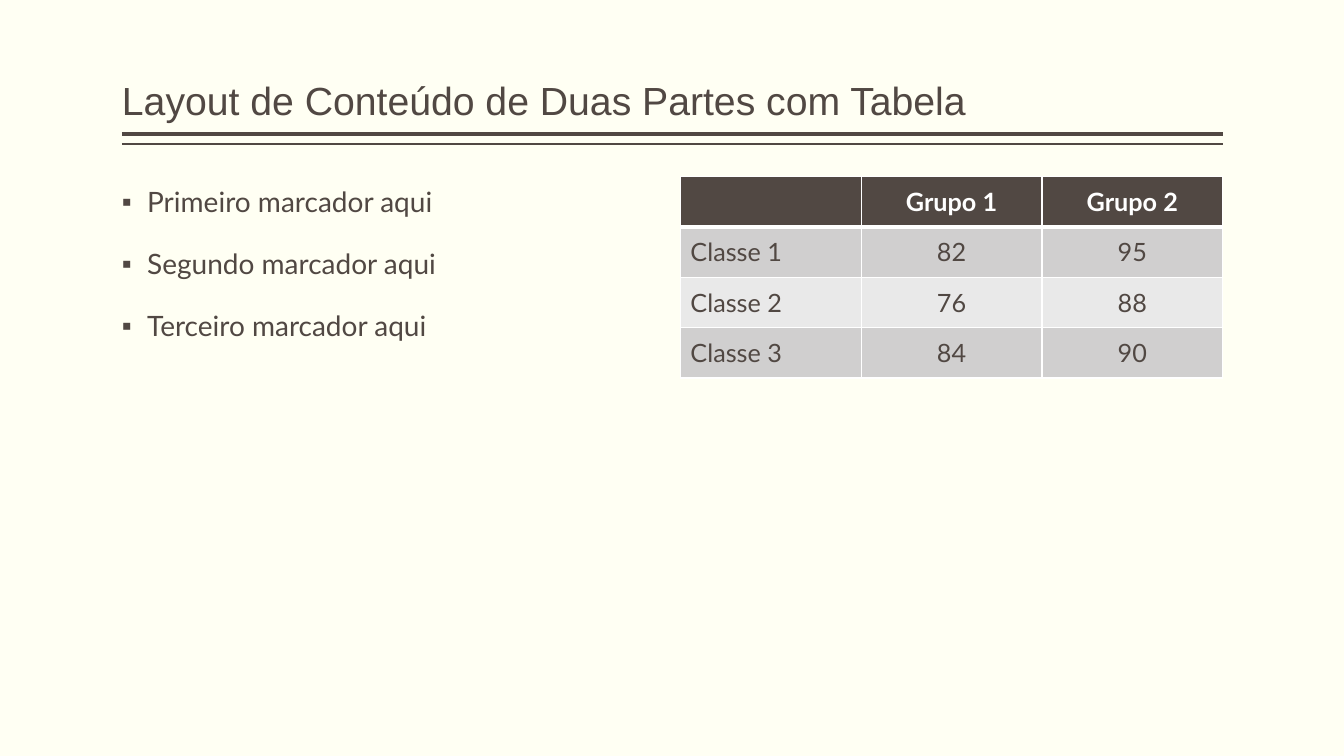
"""Build a two-part slide with a bulleted list beside a table of class results."""
import lxml.etree
import pptx
import pptx.dml.color
import pptx.enum.shapes
import pptx.enum.text
import pptx.oxml.ns
import pptx.util

Pt = pptx.util.Pt
RGBColor = pptx.dml.color.RGBColor
Align = pptx.enum.text.PP_ALIGN
Anchor = pptx.enum.text.MSO_ANCHOR
qn = pptx.oxml.ns.qn

TITLE = "Layout de Conteúdo de Duas Partes com Tabela"
BULLETS = ["Primeiro marcador aqui", "Segundo marcador aqui", "Terceiro marcador aqui"]
ROWS = [
    ("", "Grupo 1", "Grupo 2"),
    ("Classe 1", "82", "95"),
    ("Classe 2", "76", "88"),
    ("Classe 3", "84", "90"),
]

IVORY = RGBColor(0xFF, 0xFF, 0xF3)
BROWN = RGBColor(0x51, 0x48, 0x43)
WHITE = RGBColor(0xFF, 0xFF, 0xFF)
DARK_BAND = RGBColor(0xD0, 0xCF, 0xCF)
LIGHT_BAND = RGBColor(0xE9, 0xE9, 0xE9)

TITLE_FONT = {"name": "Arial", "size": Pt(28)}
BULLET_FONT = {"name": "Lato", "size": Pt(20)}
HEADER_FONT = {"name": "Lato", "size": Pt(18), "bold": True}
CELL_FONT = {"name": "Lato", "size": Pt(18), "bold": False}
FRAME = {"word_wrap": True, "margin_left": 0, "margin_right": 0,
         "margin_top": Pt(3.6), "margin_bottom": Pt(3.6)}
BULLET_PARA = {"line_spacing": 1.1, "space_before": Pt(18)}

LEFT, RIGHT = 87.12, 873.36
BODY_TOP = 126
HALF_WIDTH = 387.36
ROW_HEIGHT = 36
RULES = [(95.76, 3), (102.96, 1)]
BULLET_INDENT = Pt(18)
BORDER, HEADER_BORDER = 1, 3


def apply(target, values):
    for name, value in values.items():
        setattr(target, name, value)


def write(para, text, font, color):
    para.text = text
    for span in para.runs:
        apply(span.font, font)
        span.font.color.rgb = color


def add_frame(page, left, top, width, height, anchor):
    box = page.shapes.add_textbox(Pt(left), Pt(top), Pt(width), Pt(height))
    apply(box.text_frame, {**FRAME, "vertical_anchor": anchor})
    return box.text_frame


def add_rule(page, height, weight):
    rule = page.shapes.add_connector(
        pptx.enum.shapes.MSO_CONNECTOR.STRAIGHT, Pt(LEFT), Pt(height), Pt(RIGHT), Pt(height))
    rule.line.color.rgb = BROWN
    rule.line.width = Pt(weight)
    lxml.etree.SubElement(rule.element.spPr, qn("a:effectLst"))


def add_bullet(para):
    properties = para._p.get_or_add_pPr()
    properties.set("marL", str(BULLET_INDENT))
    properties.set("indent", str(-BULLET_INDENT))
    color = lxml.etree.SubElement(properties, qn("a:buClr"))
    lxml.etree.SubElement(color, qn("a:srgbClr"), val=str(BROWN))
    lxml.etree.SubElement(properties, qn("a:buFont"), typeface="Arial")
    lxml.etree.SubElement(properties, qn("a:buChar"), char="▪")


def add_borders(cell, row):
    weights = {"L": BORDER, "R": BORDER,
               "T": HEADER_BORDER if row == 1 else BORDER,
               "B": HEADER_BORDER if row == 0 else BORDER}
    properties = cell._tc.get_or_add_tcPr()
    for side, weight in weights.items():
        line = lxml.etree.SubElement(properties, qn("a:ln" + side), w=str(Pt(weight)))
        fill = lxml.etree.SubElement(line, qn("a:solidFill"))
        lxml.etree.SubElement(fill, qn("a:srgbClr"), val=str(WHITE))


def add_results(page):
    count = len(ROWS[0])
    table = page.shapes.add_table(
        len(ROWS), count, Pt(RIGHT - HALF_WIDTH), Pt(BODY_TOP),
        Pt(HALF_WIDTH), Pt(ROW_HEIGHT * len(ROWS))).table
    for column in table.columns:
        column.width = Pt(HALF_WIDTH / count)
    for row, values in enumerate(ROWS):
        table.rows[row].height = Pt(ROW_HEIGHT)
        header = row == 0
        band = BROWN if header else DARK_BAND if row % 2 else LIGHT_BAND
        for column, text in enumerate(values):
            cell = table.cell(row, column)
            add_borders(cell, row)
            cell.fill.solid()
            cell.fill.fore_color.rgb = band
            cell.vertical_anchor = Anchor.MIDDLE
            para = cell.text_frame.paragraphs[0]
            para.alignment = Align.CENTER if column else Align.LEFT
            write(para, text, HEADER_FONT if header else CELL_FONT, WHITE if header else BROWN)


def main():
    deck = pptx.Presentation()
    deck.slide_width, deck.slide_height = Pt(960), Pt(540)
    page = deck.slides.add_slide(deck.slide_layouts[6])
    page.background.fill.solid()
    page.background.fill.fore_color.rgb = IVORY

    for height, weight in RULES:
        add_rule(page, height, weight)

    title = add_frame(page, LEFT, 5.76, RIGHT - LEFT, 86.4, Anchor.BOTTOM).paragraphs[0]
    title.line_spacing = 0.9
    write(title, TITLE, TITLE_FONT, BROWN)

    body = add_frame(page, LEFT, BODY_TOP, HALF_WIDTH, 360, Anchor.TOP)
    for index, text in enumerate(BULLETS):
        para = body.add_paragraph() if index else body.paragraphs[0]
        apply(para, BULLET_PARA)
        add_bullet(para)
        write(para, text, BULLET_FONT, BROWN)

    add_results(page)
    deck.save("out.pptx")


if __name__ == "__main__":
    main()
